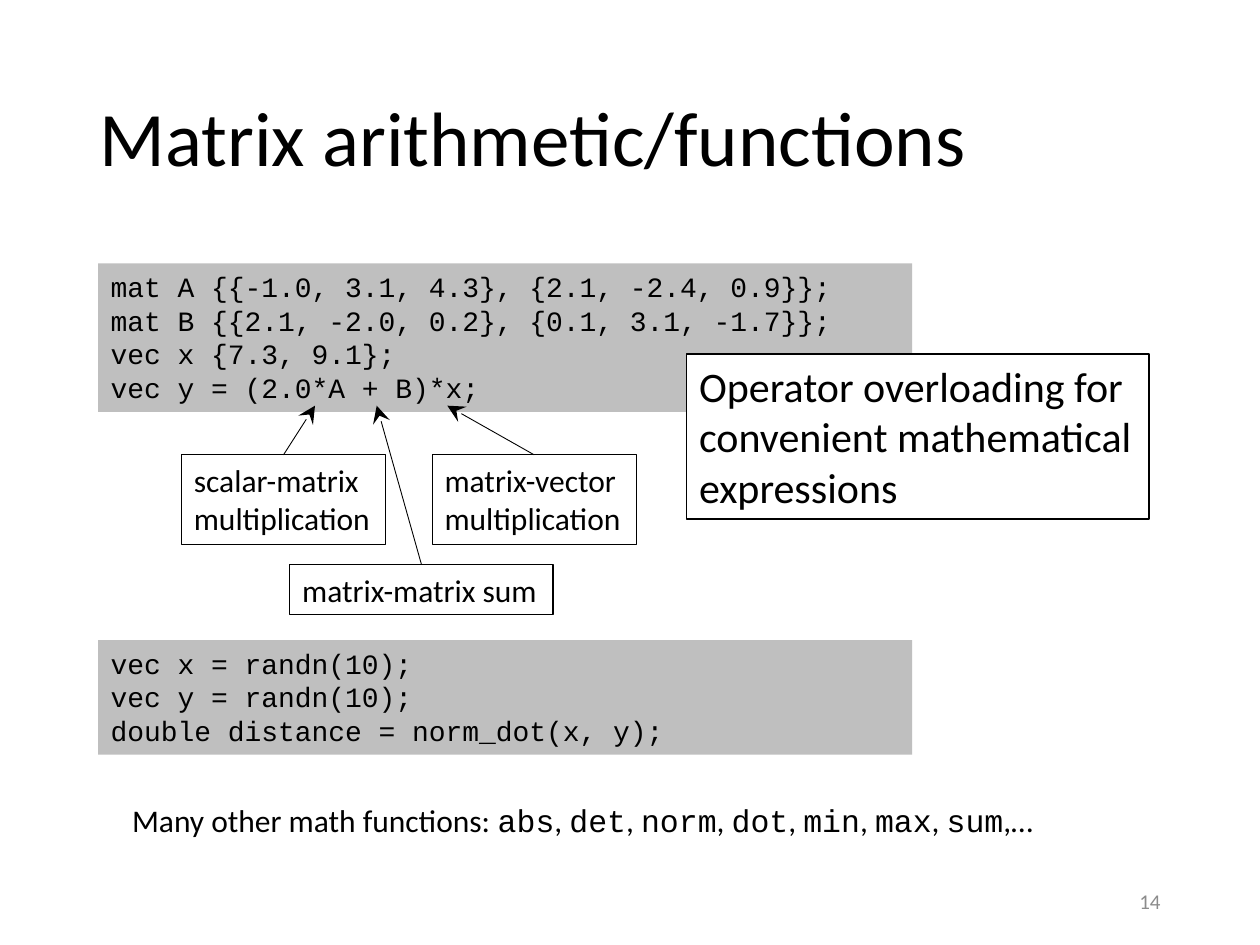
from lxml.etree import SubElement
from pptx import Presentation
from pptx.dml.color import RGBColor
from pptx.enum.shapes import MSO_CONNECTOR
from pptx.enum.text import MSO_ANCHOR, MSO_AUTO_SIZE, PP_ALIGN
from pptx.oxml.ns import qn
from pptx.util import Inches, Pt

BLACK = RGBColor(0x00, 0x00, 0x00)
WHITE = RGBColor(0xFF, 0xFF, 0xFF)
CODE_GRAY = RGBColor(0xBF, 0xBF, 0xBF)
NUMBER_GRAY = RGBColor(0x8C, 0x8C, 0x8C)
SANS, MONO = "Calibri", "Courier New"

TITLE = "Matrix arithmetic/functions"
SLIDE_NUMBER = "14"
ARITHMETIC_CODE = [
    "mat A {{-1.0, 3.1, 4.3}, {2.1, -2.4, 0.9}};",
    "mat B {{2.1, -2.0, 0.2}, {0.1, 3.1, -1.7}};",
    "vec x {7.3, 9.1};",
    "vec y = (2.0*A + B)*x;",
]
FUNCTION_CODE = [
    "vec x = randn(10);",
    "vec y = randn(10);",
    "double distance = norm_dot(x, y);",
]
# text, (left, top, width, height), x of the operator pointed at
OPERATOR_LABELS = [
    ("scalar-matrix\vmultiplication", (1.44, 3.61, 1.62, 0.71), 2.5),
    ("matrix-vector\vmultiplication", (3.43, 3.61, 1.62, 0.71), 3.55),
    ("matrix-matrix sum", (2.3, 4.48, 2.09, 0.4), 2.99),
]
OPERATOR_Y = 3.22
REMARK = "Operator overloading for\vconvenient mathematical\vexpressions"
FUNCTIONS_INTRO = "Many other math functions: "
FUNCTIONS = ["abs", "det", "norm", "dot", "min", "max", "sum"]


def format_runs(tf, size, font=SANS, color=BLACK):
    for p in tf.paragraphs:
        for r in p.runs:
            r.font.size = Pt(size)
            r.font.name = font
            r.font.color.rgb = color


def add_text(s, text, box, size, font=SANS, color=BLACK, wrap=False):
    sp = s.shapes.add_textbox(*map(Inches, box))
    tf = sp.text_frame
    tf.word_wrap = wrap
    tf.auto_size = MSO_AUTO_SIZE.SHAPE_TO_FIT_TEXT
    tf.text = text
    format_runs(tf, size, font, color)
    return sp


def add_code(s, lines, top, height):
    sp = add_text(s, "\n".join(lines), (0.78, top, 6.46, height), 16, MONO, wrap=True)
    sp.fill.solid()
    sp.fill.fore_color.rgb = CODE_GRAY


def add_framed(s, text, box, size):
    sp = add_text(s, text, box, size)
    sp.fill.solid()
    sp.fill.fore_color.rgb = WHITE
    sp.line.color.rgb = BLACK
    sp.line.width = Pt(0.75)
    return sp


def add_arrow(s, label, x, y):
    """Arrow from the top middle of a label to the point x, y."""
    line = s.shapes.add_connector(MSO_CONNECTOR.STRAIGHT, 0, 0, Inches(x), Inches(y))
    line.begin_connect(label, 0)
    line.line.color.rgb = BLACK
    line.line.width = Pt(0.5)
    SubElement(line.line._get_or_add_ln(), qn("a:tailEnd"), type="stealth", w="lg", len="lg")
    SubElement(line._element.spPr, qn("a:effectLst"))


def add_function_list(s):
    sp = add_text(s, FUNCTIONS_INTRO, (0.95, 6.31, 7.36, 0.4), 18)
    p = sp.text_frame.paragraphs[0]
    separators = [", "] * (len(FUNCTIONS) - 1) + [",…"]
    for name, separator in zip(FUNCTIONS, separators):
        for text, font in ((name, MONO), (separator, SANS)):
            r = p.add_run()
            r.text = text
            r.font.size = Pt(18)
            r.font.name = font
            r.font.color.rgb = BLACK


def main():
    prs = Presentation()
    prs.slide_width, prs.slide_height = Inches(10), Inches(7.5)
    s = prs.slides.add_slide(prs.slide_layouts[5])

    title = s.shapes.title
    title.left, title.top, title.width, title.height = map(Inches, (0.69, 0.4, 8.62, 1.45))
    tf = title.text_frame
    tf.text = TITLE
    tf.vertical_anchor = MSO_ANCHOR.MIDDLE
    tf.paragraphs[0].alignment = PP_ALIGN.LEFT
    tf.paragraphs[0].line_spacing = 0.9
    format_runs(tf, 44)

    number = add_text(s, SLIDE_NUMBER, (7.06, 6.95, 2.25, 0.4), 12, color=NUMBER_GRAY, wrap=True)
    tf = number.text_frame
    tf.auto_size = MSO_AUTO_SIZE.NONE
    tf.vertical_anchor = MSO_ANCHOR.MIDDLE
    tf.paragraphs[0].alignment = PP_ALIGN.RIGHT

    add_code(s, ARITHMETIC_CODE, 2.09, 1.18)
    for text, box, operator_x in OPERATOR_LABELS:
        label = add_framed(s, text, box, 18)
        add_arrow(s, label, operator_x, OPERATOR_Y)
    add_framed(s, REMARK, (5.45, 2.81, 3.67, 1.31), 24)
    add_code(s, FUNCTION_CODE, 5.08, 0.91)
    add_function_list(s)

    prs.save("out.pptx")


if __name__ == "__main__":
    main()
